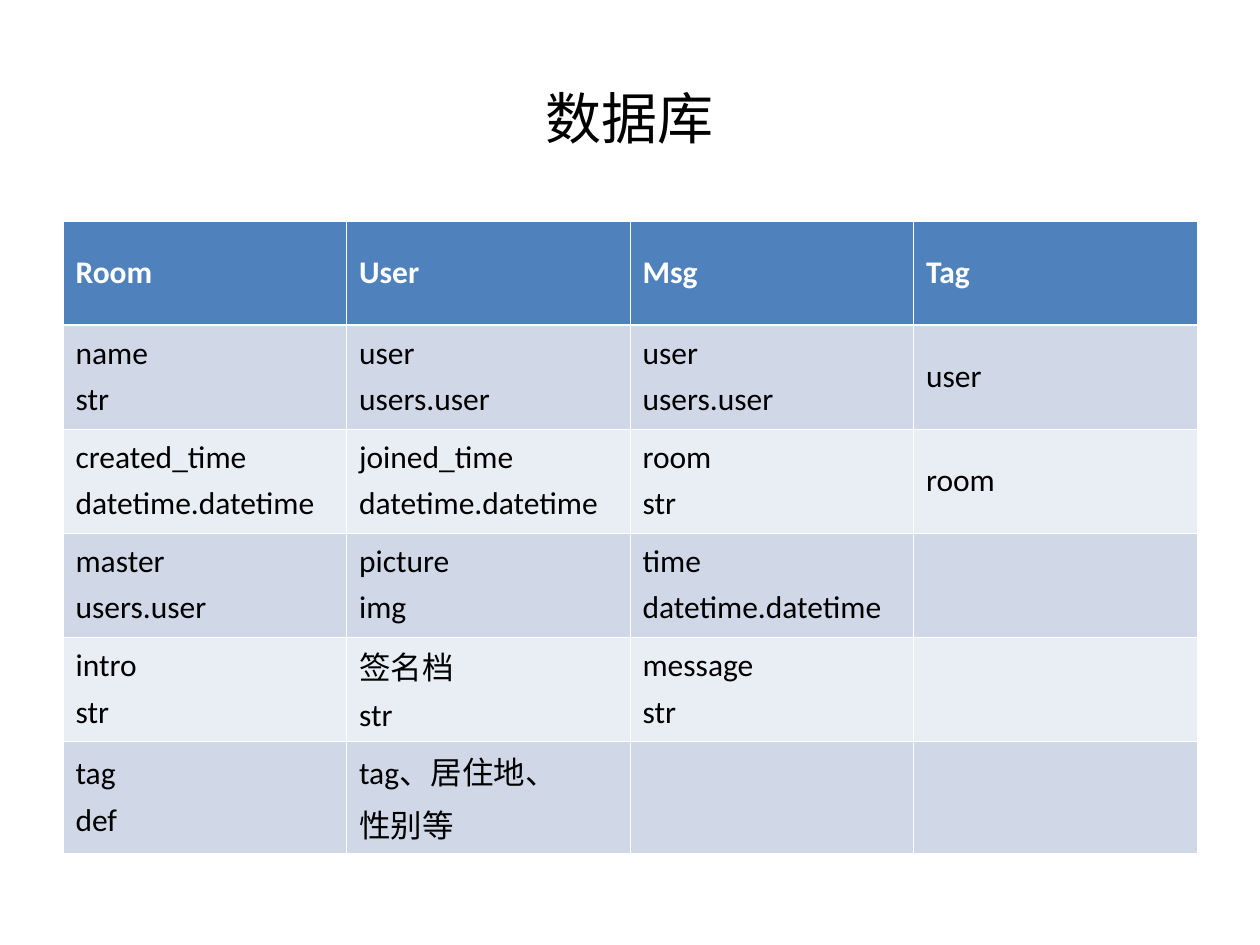
from lxml import etree
from pptx import Presentation
from pptx.dml.color import RGBColor
from pptx.enum.text import MSO_ANCHOR, PP_ALIGN
from pptx.oxml.ns import qn
from pptx.util import Pt

CENTER, LEFT = PP_ALIGN.CENTER, PP_ALIGN.LEFT
MIDDLE = MSO_ANCHOR.MIDDLE
TITLE_ONLY = 5
EMU_PER_PX = 914400 / 126

COLORS = {"header": "4F81BD", "odd": "D0D8E8", "even": "E9EDF4",
          "rule": "FFFFFF", "header_text": "FFFFFF", "text": "000000"}
THIN, THICK = 0.45, 1.47

ROWS = [
    ["Room", "User", "Msg", "Tag"],
    ["name\nstr", "user\nusers.user", "user\nusers.user", "user"],
    ["created_time\ndatetime.datetime", "joined_time\ndatetime.datetime",
     "room\nstr", "room"],
    ["master\nusers.user", "picture\nimg", "time\ndatetime.datetime", ""],
    ["intro\nstr", "签名档\nstr", "message\nstr", ""],
    ["tag\ndef", "tag、居住地、\n性别等", "", ""],
]


def px(length):
    return round(length * EMU_PER_PX)


def add_border(cell, side, width):
    line = etree.SubElement(cell._tc.get_or_add_tcPr(), qn(f"a:{side}"),
                            w=str(Pt(width)))
    fill = etree.SubElement(line, qn("a:solidFill"))
    etree.SubElement(fill, qn("a:srgbClr"), val=COLORS["rule"])


prs = Presentation()
prs.slide_width, prs.slide_height = px(1260), px(945)
slide = prs.slides.add_slide(prs.slide_layouts[TITLE_ONLY])

# Title
title = slide.shapes.title
title_box = {"left": 63, "top": 38, "width": 1134, "height": 158}
for side, length in title_box.items():
    setattr(title, side, px(length))
title.text_frame.text = "数据库"
title.text_frame.vertical_anchor = MIDDLE
heading = title.text_frame.paragraphs[0]
heading.alignment = CENTER
title_format = {"name": "Arial", "size": Pt(32)}
for key, value in title_format.items():
    setattr(heading.runs[0].font, key, value)
heading.runs[0].font.color.rgb = RGBColor.from_string(COLORS["text"])

# Table of database models and their fields
row_height = 104
models = slide.shapes.add_table(len(ROWS), len(ROWS[0]), px(63), px(221),
                                px(1134), px(row_height * len(ROWS))).table
for row in models.rows:
    row.height = px(row_height)

for r, fields in enumerate(ROWS):
    is_header = r == 0
    fill_color = "header" if is_header else "odd" if r % 2 else "even"
    text_color = "header_text" if is_header else "text"
    text_format = {"name": "Calibri", "size": Pt(18), "bold": is_header}
    borders = {"lnL": THIN, "lnR": THIN,
               "lnT": THICK if r == 1 else THIN,
               "lnB": THICK if is_header else THIN}

    for c, field in enumerate(fields):
        cell = models.cell(r, c)
        cell.vertical_anchor = MIDDLE
        for side, width in borders.items():
            add_border(cell, side, width)
        cell.fill.solid()
        cell.fill.fore_color.rgb = RGBColor.from_string(COLORS[fill_color])
        if not field:
            continue
        cell.text = field
        for paragraph in cell.text_frame.paragraphs:
            paragraph.alignment = LEFT
            paragraph.space_before = Pt(4.5)
            font = paragraph.runs[0].font
            for key, value in text_format.items():
                setattr(font, key, value)
            font.color.rgb = RGBColor.from_string(COLORS[text_color])

prs.save("out.pptx")
